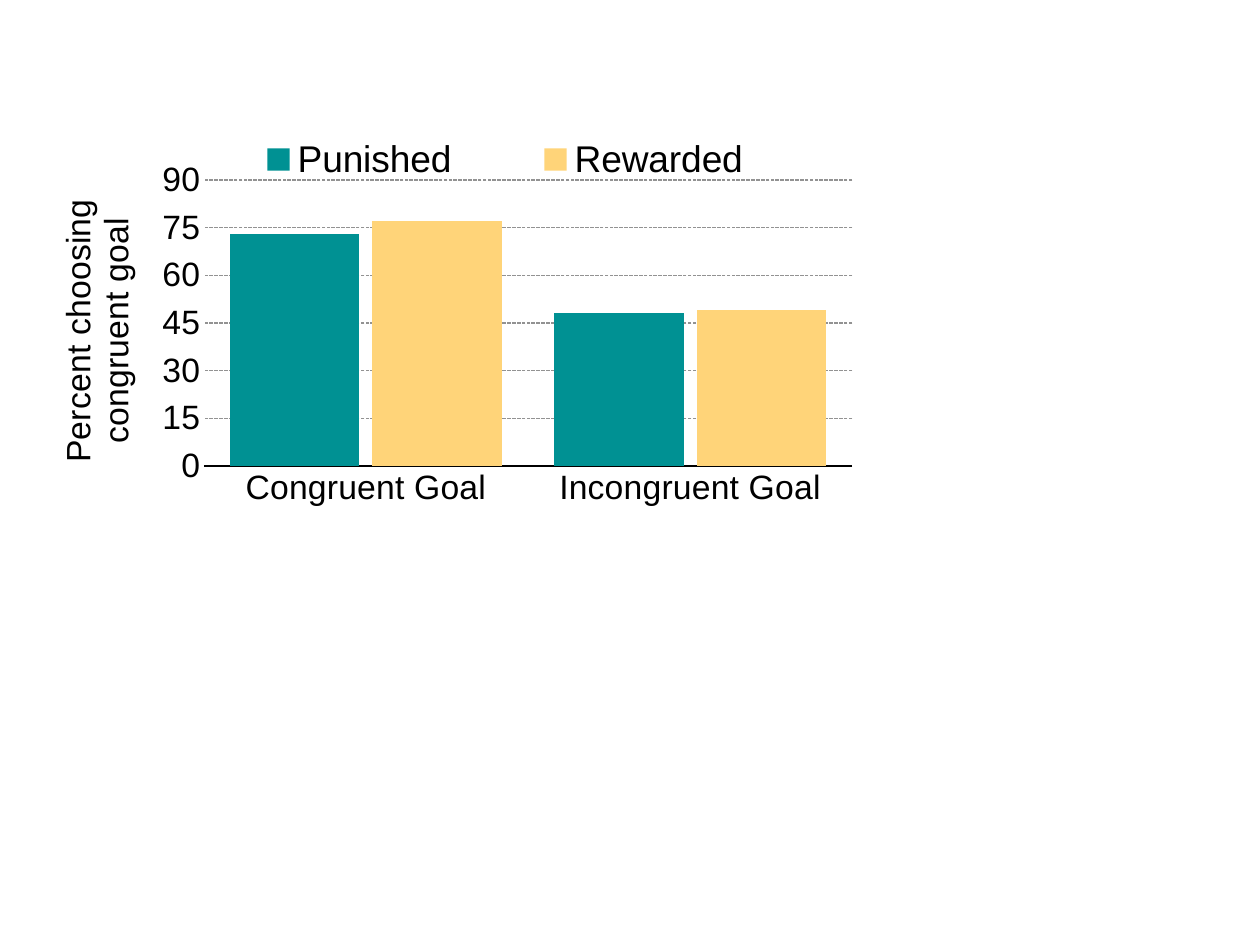
from dataclasses import dataclass
from typing import Optional

import pptx
import pptx.chart.data
import pptx.dml.color
import pptx.enum.chart
import pptx.enum.dml
import pptx.oxml
import pptx.oxml.ns
import pptx.util

SCALE = 10320
HUES = {"ink": "000000", "grid": "929292", "teal": "009193", "gold": "FFD479"}


@dataclass
class Box:
    left: int
    top: int
    wide: Optional[int] = None
    high: Optional[int] = None


@dataclass
class Group:
    name: str
    vals: tuple[int, ...]
    hue: str


FRAME = Box(32, 133, 821, 392)
PLOT = Box(172, 47, 649, 286)
KEY = Box(155, 1, 637, 51)
LABEL = Box(18, 60)
GOALS = ("Congruent Goal", "Incongruent Goal")
GROUPS = (
    Group("Punished", (73, 48), "teal"),
    Group("Rewarded", (77, 49), "gold"),
)


def px(size: int) -> pptx.util.Emu:
    return pptx.util.Emu(size * SCALE)


def color(name: str) -> pptx.dml.color.RGBColor:
    return pptx.dml.color.RGBColor.from_string(HUES[name])


def style(font, size: float) -> None:
    font.name = "Arial"
    font.size = pptx.util.Pt(size)
    font.bold = False
    font.color.rgb = color("ink")


def stroke(line, hue: str) -> None:
    line.color.rgb = color(hue)
    line.width = pptx.util.Pt(1)


def place(node, box: Box, inner: bool = False) -> None:
    tag = pptx.oxml.ns.qn
    for old in node.findall(tag("c:layout")):
        node.remove(old)
    parts = [("xMode", "edge"), ("yMode", "edge"),
             ("x", box.left / FRAME.wide), ("y", box.top / FRAME.high)]
    if inner:
        parts.insert(0, ("layoutTarget", "inner"))
    if box.wide and box.high:
        parts += [("w", box.wide / FRAME.wide), ("h", box.high / FRAME.high)]
    body = "".join(f'<c:{name} val="{val}"/>' for name, val in parts)
    item = pptx.oxml.parse_xml(
        f'<c:layout {pptx.oxml.ns.nsdecls("c")}>'
        f"<c:manualLayout>{body}</c:manualLayout></c:layout>")
    over = node.find(tag("c:overlay"))
    if over is None:
        node.insert(0, item)
    else:
        over.addprevious(item)


def axes(chart) -> None:
    none = pptx.enum.chart.XL_TICK_MARK.NONE
    for axis in (chart.category_axis, chart.value_axis):
        axis.major_tick_mark = none
        axis.minor_tick_mark = none
        style(axis.tick_labels.font, 27.4)
    stroke(chart.category_axis.format.line, "ink")
    axis = chart.value_axis
    axis.minimum_scale, axis.maximum_scale, axis.major_unit = 0, 90, 15
    axis.format.line.fill.background()
    axis.has_major_gridlines = True
    grid = axis.major_gridlines.format.line
    stroke(grid, "grid")
    grid.dash_style = pptx.enum.dml.MSO_LINE.SQUARE_DOT
    title = axis.axis_title
    frame = title.text_frame
    run = frame.paragraphs[0].add_run()
    run.text = "Percent choosing congruent goal"
    style(run.font, 27.4)
    turn = frame._txBody.find(pptx.oxml.ns.qn("a:bodyPr"))
    turn.set("rot", "-5400000")
    turn.set("vert", "horz")
    place(title._element, LABEL)


def draw(slide) -> None:
    data = pptx.chart.data.CategoryChartData()
    data.categories = GOALS
    for group in GROUPS:
        data.add_series(group.name, group.vals)
    chart = slide.shapes.add_chart(
        pptx.enum.chart.XL_CHART_TYPE.COLUMN_CLUSTERED,
        px(FRAME.left), px(FRAME.top), px(FRAME.wide), px(FRAME.high),
        data).chart
    chart.has_title = False
    style(chart.font, 10)
    plot = chart.plots[0]
    plot.gap_width, plot.overlap = 40, -10
    plot.vary_by_categories = False
    for group, bars in zip(GROUPS, plot.series):
        bars.format.fill.solid()
        bars.format.fill.fore_color.rgb = color(group.hue)
        bars.format.line.fill.background()
    axes(chart)
    chart.has_legend = True
    key = chart.legend
    key.position = pptx.enum.chart.XL_LEGEND_POSITION.TOP
    key.include_in_layout = True
    style(key.font, 30.2)
    place(key._element, KEY)
    place(chart._chartSpace.chart.plotArea, PLOT, True)


def main() -> None:
    deck = pptx.Presentation()
    deck.slide_width, deck.slide_height = px(1260), px(945)
    draw(deck.slides.add_slide(deck.slide_layouts[6]))
    deck.save("out.pptx")


if __name__ == "__main__":
    main()
